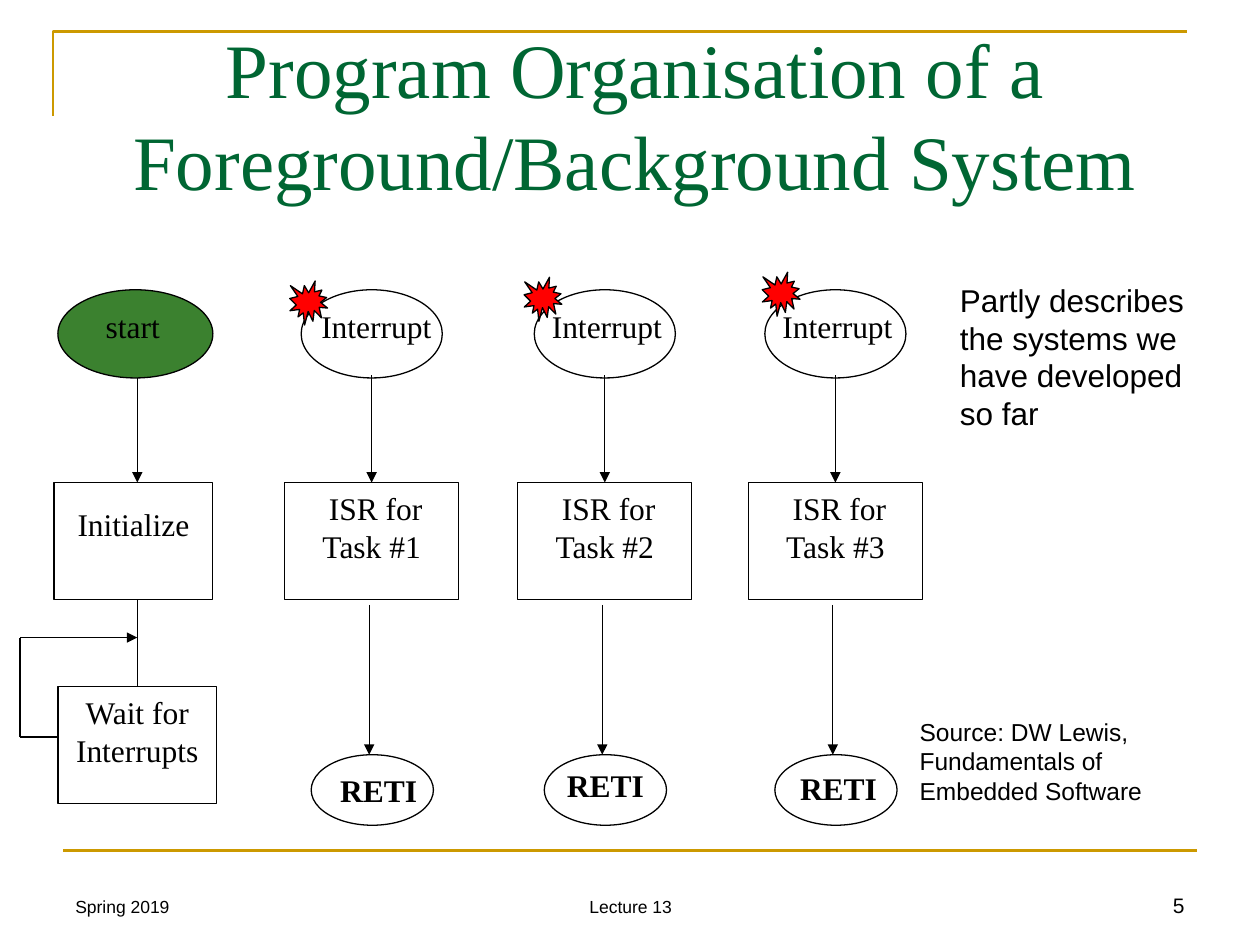
from dataclasses import dataclass

import lxml.etree
import pptx
import pptx.dml.color
import pptx.enum.shapes
import pptx.enum.text
import pptx.oxml.ns
import pptx.slide
import pptx.text.text
import pptx.util

Inches = pptx.util.Inches
SHAPE = pptx.enum.shapes.MSO_SHAPE
ALIGN = pptx.enum.text.PP_ALIGN
ANCHOR = pptx.enum.text.MSO_ANCHOR
Slide = pptx.slide.Slide
Box = tuple[float, float, float, float]
Point = tuple[float, float]

COLORS = {
    "ink": "000000",
    "title": "006633",
    "rule": "CC9900",
    "start": "3B812F",
    "burst": "FF0000",
}
SERIF = {"name": "Times New Roman", "size": pptx.util.Pt(18)}
SERIF_BOLD = {**SERIF, "bold": True}
TITLE = {"name": "Times New Roman", "size": pptx.util.Pt(44)}
NOTE = {"name": "Arial", "size": pptx.util.Pt(18)}
CITATION = {"name": "Arial", "size": pptx.util.Pt(14)}
FOOTER = {"name": "Arial", "size": pptx.util.Pt(10)}
PAGE = {"name": "Arial", "size": pptx.util.Pt(12)}


@dataclass
class Task:
    number: int
    left: float
    label_left: float
    burst: Point
    reti: Point


@dataclass
class Label:
    text: str
    box: Box
    font: dict
    align: ALIGN = ALIGN.LEFT
    anchor: ANCHOR = ANCHOR.TOP
    inset_left: float = 0.1
    inset_top: float = 0.05


TASKS = [
    Task(1, 2.26, 2.33, (2.3, 2.23), (2.57, 5.78)),
    Task(2, 4.11, 4.16, (4.16, 2.2), (4.37, 5.74)),
    Task(3, 5.94, 5.99, (6.05, 2.16), (6.22, 5.76)),
]
LABELS = [
    Label("Spring 2019", (0.5, 6.83, 2.33, 0.5), FOOTER, anchor=ANCHOR.BOTTOM),
    Label("Lecture 13", (3.42, 6.83, 3.17, 0.5), FOOTER, ALIGN.CENTER, ANCHOR.BOTTOM),
    Label("5", (7.17, 6.83, 2.33, 0.5), PAGE, ALIGN.RIGHT, ANCHOR.BOTTOM),
    Label("start", (0.74, 2.39, 0.83, 0.6), SERIF),
    Label("Partly describes the systems we have developed so far",
          (7.52, 2.18, 2.2, 1.31), NOTE),
    Label("Source: DW Lewis, Fundamentals of Embedded Software",
          (7.2, 5.64, 2.52, 0.8), CITATION),
]


def rgb(key: str) -> pptx.dml.color.RGBColor:
    return pptx.dml.color.RGBColor.from_string(COLORS[key])


def write(frame: pptx.text.text.TextFrame, label: Label, color: str = "ink") -> None:
    layout = {
        "word_wrap": True,
        "auto_size": pptx.enum.text.MSO_AUTO_SIZE.NONE,
        "vertical_anchor": label.anchor,
        "margin_left": Inches(label.inset_left),
        "margin_right": Inches(0.1),
        "margin_top": Inches(label.inset_top),
        "margin_bottom": Inches(0.05),
    }
    for name, value in layout.items():
        setattr(frame, name, value)
    paragraph = frame.paragraphs[0]
    paragraph.alignment = label.align
    run = paragraph.add_run()
    run.text = label.text
    for name, value in label.font.items():
        setattr(run.font, name, value)
    run.font.color.rgb = rgb(color)


def add_label(slide: Slide, label: Label) -> None:
    write(slide.shapes.add_textbox(*map(Inches, label.box)).text_frame, label)


def add_outline(slide: Slide, kind: SHAPE, box: Box, fill: str | None = None):
    shape = slide.shapes.add_shape(kind, *map(Inches, box))
    shape.shadow.inherit = False
    if fill:
        shape.fill.solid()
        shape.fill.fore_color.rgb = rgb(fill)
    else:
        shape.fill.background()
    shape.line.color.rgb = rgb("ink")
    shape.line.width = pptx.util.Pt(0.75)
    return shape


def add_step(slide: Slide, text: str, box: Box, inset_top: float = 0.05) -> None:
    step = add_outline(slide, SHAPE.RECTANGLE, box)
    write(step.text_frame, Label(text, box, SERIF, ALIGN.CENTER, inset_top=inset_top))


def add_line(slide: Slide, start: Point, end: Point, arrow: bool = False,
             color: str = "ink", width: float = 0.75) -> None:
    line = slide.shapes.add_connector(
        pptx.enum.shapes.MSO_CONNECTOR.STRAIGHT, *map(Inches, start + end))
    line.line.color.rgb = rgb(color)
    line.line.width = pptx.util.Pt(width)
    qn = pptx.oxml.ns.qn
    properties = line._element.spPr
    if arrow:
        lxml.etree.SubElement(properties.find(qn("a:ln")), qn("a:tailEnd"), type="triangle")
    lxml.etree.SubElement(properties, qn("a:effectLst"))


def add_frame(slide: Slide) -> None:
    builder = slide.shapes.build_freeform(Inches(0.42), Inches(0.92))
    corners = [(0.42, 0.25), (9.42, 0.25)]
    builder.add_line_segments([(Inches(x), Inches(y)) for x, y in corners], close=False)
    corner = builder.convert_to_shape()
    corner.shadow.inherit = False
    corner.fill.background()
    corner.line.color.rgb = rgb("rule")
    corner.line.width = pptx.util.Pt(1.5)
    add_line(slide, (0.5, 6.75), (9.5, 6.75), color="rule", width=1.5)


def add_title(slide: Slide) -> None:
    title = slide.shapes.title
    box = (0.79, 0.28, 8.5, 1.25)
    for name, value in zip(("left", "top", "width", "height"), box):
        setattr(title, name, Inches(value))
    write(title.text_frame,
          Label("Program Organisation of a Foreground/Background System",
                box, TITLE, ALIGN.CENTER, ANCHOR.MIDDLE), "title")


def add_background(slide: Slide) -> None:
    axis, loop = 1.09, 0.16
    add_outline(slide, SHAPE.OVAL, (0.46, 2.3, 1.23, 0.7), "start")
    add_line(slide, (axis, 3), (axis, 3.83), arrow=True)
    add_step(slide, "Initialize", (0.43, 3.83, 1.26, 0.93), inset_top=0.18)
    add_line(slide, (axis, 4.76), (axis, 5.45))
    add_step(slide, "Wait for Interrupts", (0.46, 5.45, 1.26, 0.93))
    add_line(slide, (0.46, 5.85), (loop, 5.85))
    add_line(slide, (loop, 5.85), (loop, 5.06))
    add_line(slide, (loop, 5.06), (axis, 5.06), arrow=True)


def add_task(slide: Slide, task: Task) -> None:
    left = task.left
    add_outline(slide, SHAPE.OVAL, (left + 0.13, 2.3, 1.12, 0.7))
    add_label(slide, Label("Interrupt", (task.label_left, 2.39, 1.33, 0.56), SERIF,
                           inset_left=0.22))
    add_line(slide, (left + 0.69, 2.98), (left + 0.69, 3.83), arrow=True)
    add_step(slide, f" ISR for Task #{task.number}", (left, 3.83, 1.38, 0.93))
    add_line(slide, (left + 0.67, 4.8), (left + 0.67, 5.99), arrow=True)
    add_outline(slide, SHAPE.OVAL, (left + 0.21, 5.99, 0.97, 0.56))
    add_label(slide, Label("RETI", task.reti + (0.87, 0.56), SERIF_BOLD,
                           ALIGN.CENTER, inset_top=0.34))
    add_outline(slide, SHAPE.EXPLOSION1, task.burst + (0.3, 0.35), "burst")


def main() -> None:
    deck = pptx.Presentation()
    deck.slide_width, deck.slide_height = Inches(10), Inches(7.5)
    slide = deck.slides.add_slide(deck.slide_layouts[5])
    add_frame(slide)
    add_title(slide)
    add_background(slide)
    for task in TASKS:
        add_task(slide, task)
    for label in LABELS:
        add_label(slide, label)
    deck.save("out.pptx")


if __name__ == "__main__":
    main()
